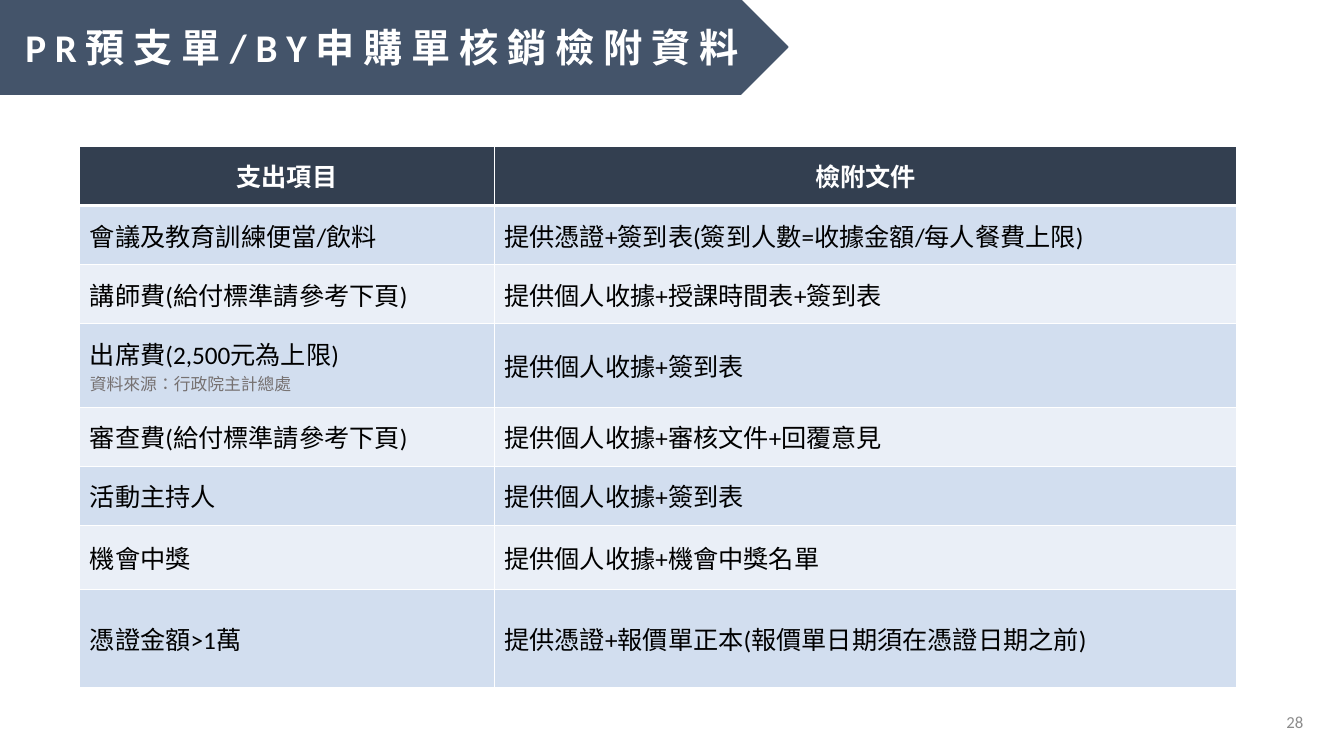
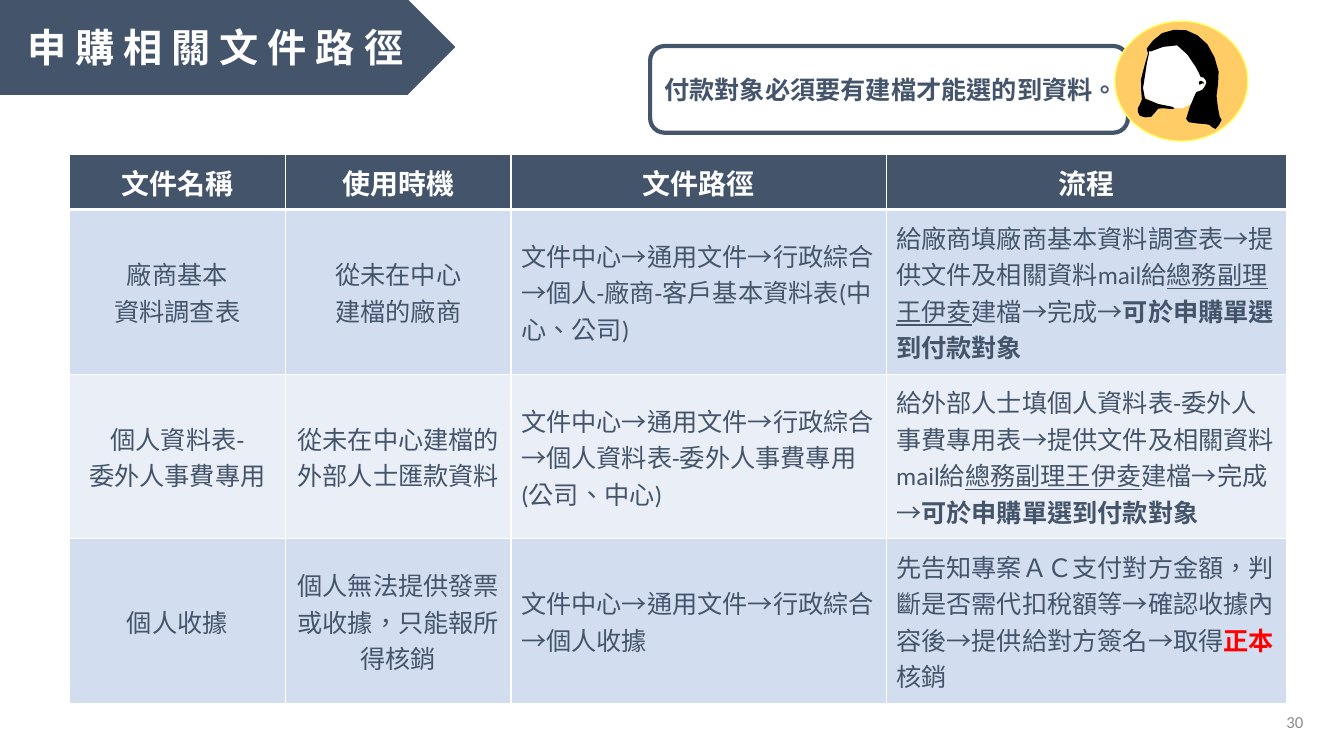
from dataclasses import dataclass

from lxml.etree import SubElement
from pptx import Presentation
from pptx.dml.color import RGBColor
from pptx.enum.lang import MSO_LANGUAGE_ID
from pptx.enum.shapes import MSO_SHAPE
from pptx.enum.text import MSO_ANCHOR, PP_ALIGN
from pptx.oxml.ns import qn
from pptx.util import Pt


@dataclass(frozen=True)
class Theme:
    font: str = "Calibri"
    slate: str = "44546A"
    navy: str = "333F50"
    white: str = "FFFFFF"
    black: str = "000000"
    gray: str = "767171"
    number: str = "8C8C8C"
    red: str = "FF0000"
    bands: tuple = ("D2DEEF", "EAEFF7")
    avatar: str = "FFCC66"
    avatar_rim: str = "FFFF66"
    title: int = 28
    heading: int = 20
    body: int = 18
    small: int = 12


T = Theme()
LEFT, CENTER, RIGHT = PP_ALIGN.LEFT, PP_ALIGN.CENTER, PP_ALIGN.RIGHT

# Points of the avatar, in points from the corner of its box
FACE = [(24, 23), (26.6, 18.7), (38, 13.7), (60.5, 23), (68.4, 36.7), (54.7, 59),
        (41, 62), (21, 54), (21, 37.4)]
HAIR = [(72, 77), (76.3, 70.6), (75, 68.4), (72.7, 53.3), (74.2, 36), (66.2, 16.6),
        (51, 6.5), (33.8, 8.6), (23, 19.4), (23.8, 23), (18.7, 41.8), (19.4, 56),
        (16.6, 62), (18, 67.7), (26, 68.4), (31, 62.6), (38, 62.6), (41.8, 62.6),
        (41, 61.2), (21.6, 55.4), (21.6, 39), (24.5, 23), (26, 21.6), (44.6, 17.3),
        (57.6, 32.4), (61.2, 39.6), (63.4, 40.3), (65.5, 44), (62.6, 49), (59, 50.4),
        (57, 53.3), (51, 69.8), (56.2, 72.7), (62.6, 73.4), (67.7, 74.2)]
EAR = [(60.5, 45.4), (62.6, 44.4), (64, 44.6), (62, 42.6), (60, 43.5)]


def rgb(color):
    return RGBColor.from_string(color)


def write(tf, content, size=T.body, color=T.black, bold=False, align=LEFT):
    """Write a string, or runs as strings and (string, format) pairs.

    A newline starts a paragraph; a vertical tab breaks the line.
    """
    tf.word_wrap = True
    p = tf.paragraphs[0]
    p.alignment = align
    for run in [content] if isinstance(content, str) else content:
        text, fmt = (run, {}) if isinstance(run, str) else run
        if text == "\v":
            p.add_line_break()
            continue
        for i, piece in enumerate(text.split("\n")):
            if i:
                p = tf.add_paragraph()
                p.alignment = align
            r = p.add_run()
            r.text = piece
            f = r.font
            f.name = T.font
            f.language_id = MSO_LANGUAGE_ID.TRADITIONAL_CHINESE
            f.size = Pt(fmt.get("size", size))
            f.bold = fmt.get("bold", bold)
            f.underline = fmt.get("underline")
            f.color.rgb = rgb(fmt.get("color", color))


def paint(sp, fill, line=None, width=1):
    sp.shadow.inherit = False
    sp.fill.solid()
    sp.fill.fore_color.rgb = rgb(fill)
    if line:
        sp.line.color.rgb = rgb(line)
        sp.line.width = Pt(width)
    else:
        sp.line.fill.background()
    return sp


def add_box(s, kind, box, fill, line, width=1):
    return paint(s.shapes.add_shape(kind, *map(Pt, box)), fill, line, width)


def add_page(prs, title, banner_width, number):
    """Add a slide with its title banner and page number."""
    s = prs.slides.add_slide(prs.slide_layouts[6])
    banner = add_box(s, MSO_SHAPE.PENTAGON, (0, 0, banner_width, 67.3), T.slate, T.slate)
    banner.text_frame.vertical_anchor = MSO_ANCHOR.MIDDLE
    write(banner.text_frame, " ".join(title), T.title, T.white, True, CENTER)
    tf = s.shapes.add_textbox(Pt(722), Pt(501), Pt(216), Pt(28.75)).text_frame
    tf.vertical_anchor = MSO_ANCHOR.MIDDLE
    write(tf, str(number), T.small, T.number, align=RIGHT)
    return s


def set_borders(cell, bottom):
    tc_pr = cell._tc.get_or_add_tcPr()
    for i, side in enumerate("LRTB"):
        ln = SubElement(tc_pr, qn(f"a:ln{side}"), w=str(Pt(bottom if side == "B" else 1)))
        SubElement(SubElement(ln, qn("a:solidFill")), qn("a:srgbClr"), val=T.white)
        tc_pr.insert(i, ln)


def add_grid(s, left, top, widths, heights, rows, aligns, head_fill, head_size, color):
    table = s.shapes.add_table(len(rows), len(widths), Pt(left), Pt(top),
                               Pt(sum(widths)), Pt(sum(heights))).table
    for column, width in zip(table.columns, widths):
        column.width = Pt(width)
    for i, (height, row) in enumerate(zip(heights, rows)):
        table.rows[i].height = Pt(height)
        for j, content in enumerate(row):
            cell = table.cell(i, j)
            cell.vertical_anchor = MSO_ANCHOR.MIDDLE
            cell.fill.solid()
            cell.fill.fore_color.rgb = rgb(T.bands[(i - 1) % 2] if i else head_fill)
            set_borders(cell, 1 if i else 3)
            if i:
                write(cell.text_frame, content, color=color, align=aligns[j])
            else:
                write(cell.text_frame, content, head_size, T.white, True, CENTER)


def smooth_loop(points):
    """Add a Catmull-Rom midpoint after each point of a closed outline."""
    n = len(points)
    for i, point in enumerate(points):
        quad = points[i - 1], point, points[(i + 1) % n], points[(i + 2) % n]
        yield tuple(map(Pt, point))
        yield tuple(Pt((9 * (b + c) - a - d) / 16) for a, b, c, d in zip(*quad))


def add_avatar(s, left, top):
    add_box(s, MSO_SHAPE.OVAL, (left, top, 95, 85.7), T.avatar, T.avatar_rim)
    head = s.shapes.add_group_shape().shapes
    for points, fill in ((FACE, T.white), (HAIR, T.black), (EAR, T.black)):
        start, *rest = smooth_loop(points)
        outline = head.build_freeform(*start)
        outline.add_line_segments(rest, close=True)
        paint(outline.convert_to_shape(Pt(left), Pt(top)), fill)


def add_callout(s, left, top, text):
    """Add a rounded note with the avatar over its right end."""
    note = add_box(s, MSO_SHAPE.ROUNDED_RECTANGLE, (left, top, 341.3, 61.9),
                   T.white, T.slate, 3)
    note.text_frame.vertical_anchor = MSO_ANCHOR.MIDDLE
    write(note.text_frame, text, color=T.slate, bold=True)
    add_avatar(s, left + 331.9, top - 17.8)


def add_expense_slide(prs):
    s = add_page(prs, "PR預支單/BY申購單核銷檢附資料", 562.75, 28)
    rows = [
        ("支出項目", "檢附文件"),
        ("會議及教育訓練便當/飲料", "提供憑證+簽到表(簽到人數=收據金額/每人餐費上限)"),
        ("講師費(給付標準請參考下頁)", "提供個人收據+授課時間表+簽到表"),
        (["出席費(2,500元為上限)", "\v",
          ("資料來源：行政院主計總處", dict(size=T.small, color=T.gray))],
         "提供個人收據+簽到表"),
        ("審查費(給付標準請參考下頁)", "提供個人收據+審核文件+回覆意見"),
        ("活動主持人", "提供個人收據+簽到表"),
        ("機會中獎", "提供個人收據+機會中獎名單"),
        ("憑證金額>1萬", "提供憑證+報價單正本(報價單日期須在憑證日期之前)"),
    ]
    line = 42.25
    add_grid(s, 57, 104.5, (296, 530.5), (line, line, line, 59.6, line, line, 46, 69.7),
             rows, (LEFT, LEFT), T.navy, T.body, T.black)


def add_path_slide(prs):
    s = add_page(prs, "申購相關文件路徑", 324.6, 30)
    add_callout(s, 464.4, 32.9, "付款對象必須要有建檔才能選的到資料。")
    root = "文件中心→通用文件→行政綜合→個人"
    filing = [("總務副理王伊夌", dict(underline=True)), "建檔→完成→",
              ("可於申購單選到付款對象", dict(bold=True))]
    rows = [
        ("文件名稱", "使用時機", "文件路徑", "流程"),
        ("廠商基本\n資料調查表", "從未在中心\n建檔的廠商",
         root + "-廠商-客戶基本資料表(中心、公司)",
         ["給廠商填廠商基本資料調查表→提供文件及相關資料mail給", *filing]),
        ("個人資料表-\n委外人事費專用", "從未在中心建檔的外部人士匯款資料",
         root + "資料表-委外人事費專用(公司、中心)",
         ["給外部人士填個人資料表-委外人事費專用表→提供文件及相關資料mail給", *filing]),
        ("個人收據", "個人無法提供發票或收據，只能報所得核銷", root + "收據",
         ["先告知專案ＡＣ支付對方金額，判斷是否需代扣稅額等→確認收據內容後→提供給對方簽名→取得",
          ("正本", dict(color=T.red, bold=True)), "核銷"]),
    ]
    add_grid(s, 49.4, 110.6, (154.6, 161, 268, 285.8), (39.1, *[117.6] * 3), rows,
             (CENTER, CENTER, LEFT, LEFT), T.slate, T.heading, T.slate)


def main():
    prs = Presentation()
    prs.slide_width, prs.slide_height = Pt(960), Pt(540)
    add_expense_slide(prs)
    add_path_slide(prs)
    prs.save("out.pptx")


if __name__ == "__main__":
    main()
